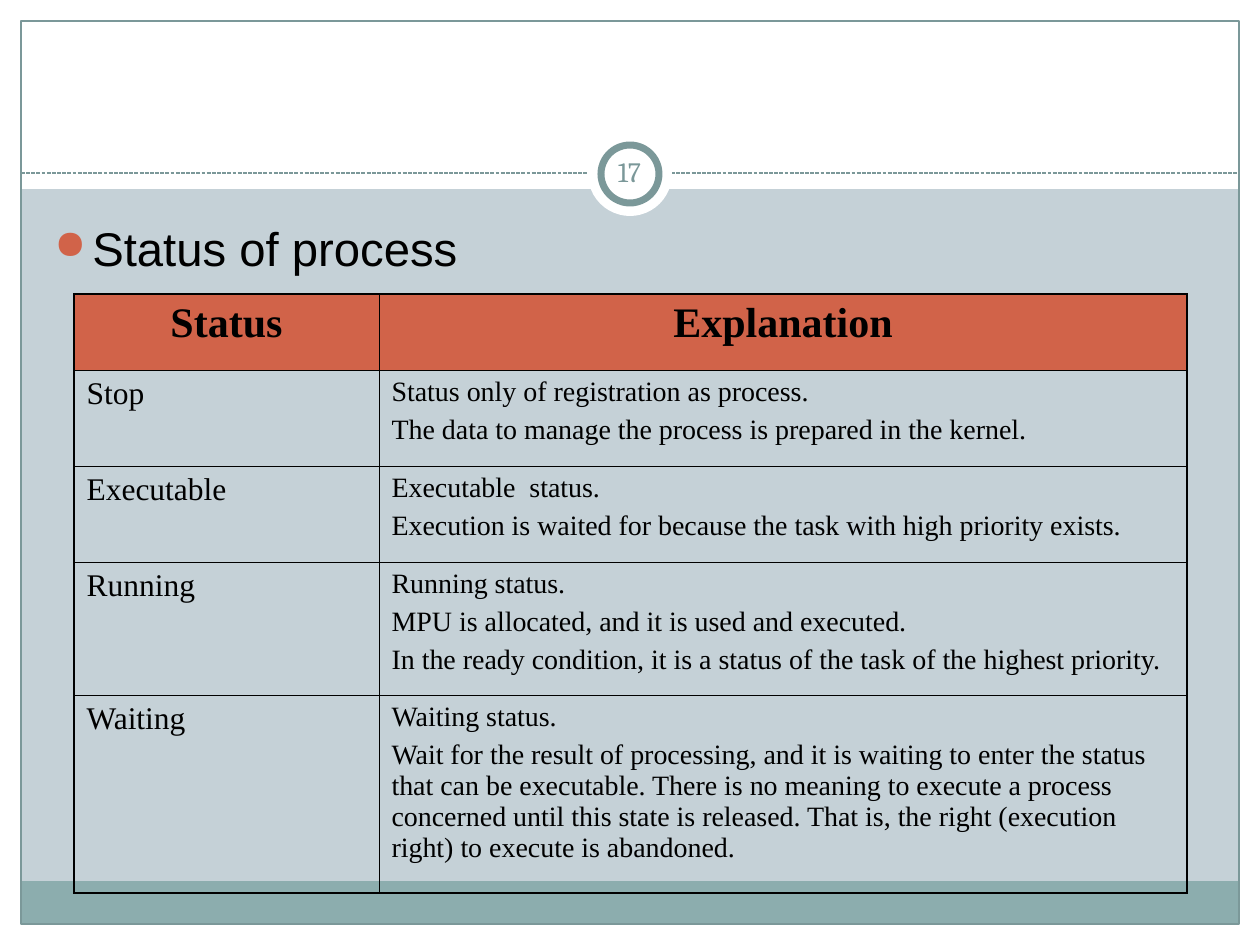
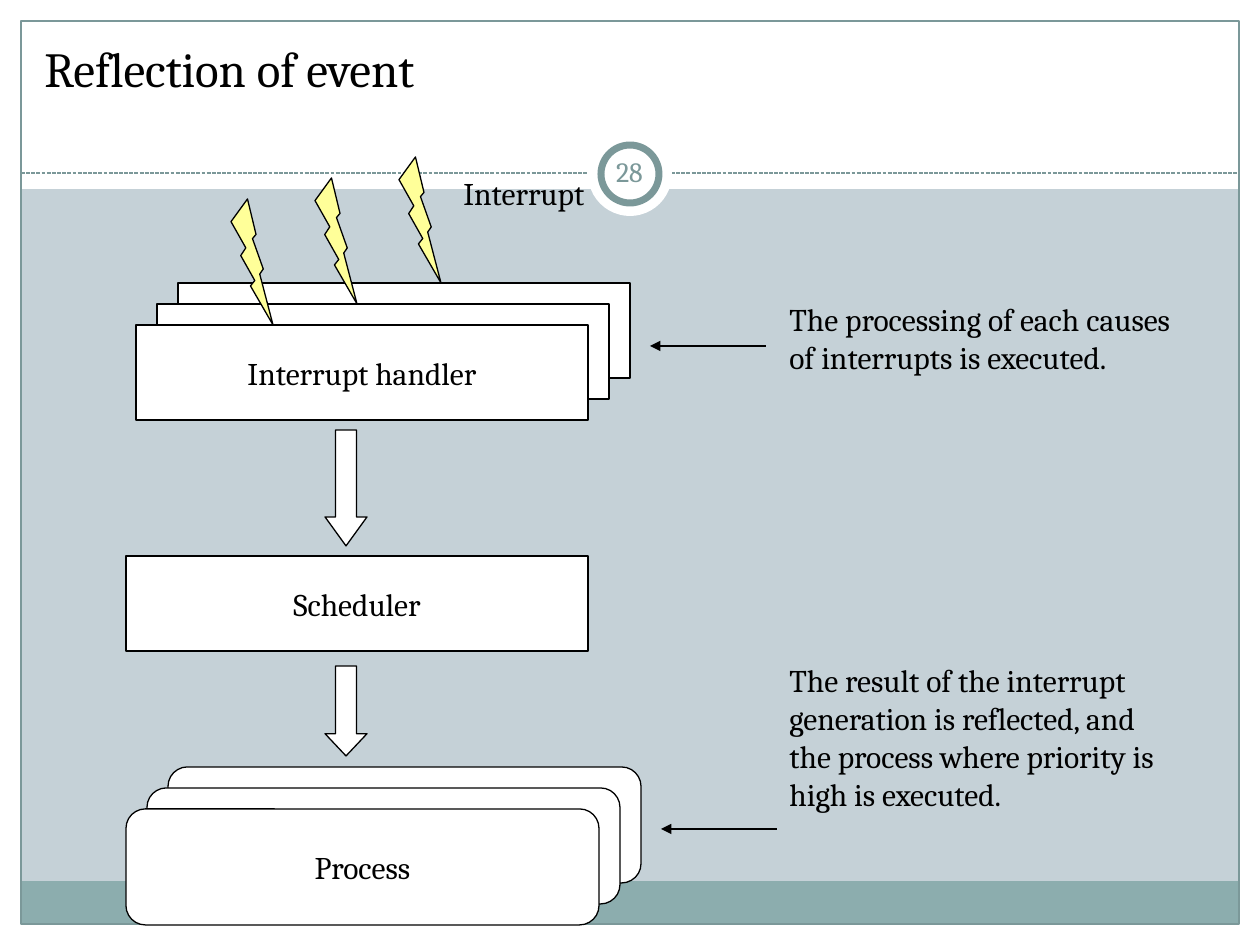
"""Build two slides on process status and event reflection."""
from dataclasses import dataclass

from lxml import etree
from pptx import Presentation
from pptx import util as u
from pptx.dml.color import RGBColor
from pptx.enum import dml, shapes, text
from pptx.oxml import ns

SCALE = 914400 / 126
KIND = shapes.MSO_SHAPE


@dataclass(frozen=True)
class Theme:
    """Colours, fonts, type sizes and line widths of the deck."""
    backdrop: str = "C5D1D7"
    white: str = "FFFFFF"
    black: str = "000000"
    band: str = "8CADAE"
    rule: str = "7B9899"
    accent: str = "D16349"
    bolt: str = "FFFF99"
    serif: str = "Cambria"
    sans: str = "Arial"
    table_font: str = "Times New Roman"
    title: int = 28
    bullet: int = 27
    header: int = 24
    body: int = 18
    small: int = 16
    line: float = 0.75
    ring: float = 4
    outer_border: float = 1.08
    inner_border: float = 0.45


@dataclass(frozen=True)
class Box:
    """A rectangle in px."""
    left: int
    top: int
    width: int
    height: int

    def inner(self, left, top, width, height):
        """Return a box placed relative to this one."""
        return Box(self.left + left, self.top + top, width, height)

    def emu(self):
        """Return the four lengths in EMU."""
        return [px(side) for side in (self.left, self.top, self.width, self.height)]


THEME = Theme()
PAGE = Box(0, 0, 1260, 945)
STATUSES = [
    ("Stop", ["Status only of registration as process.",
              "The data to manage the process is prepared in the kernel."]),
    ("Executable", ["Executable  status.",
                    "Execution is waited for because the task with high priority exists."]),
    ("Running", ["Running status.",
                 "MPU is allocated, and it is used and executed.",
                 "In the ready condition, it is a status of the task of the highest priority."]),
    ("Waiting", ["Waiting status.",
                 "Wait for the result of processing, and it is waiting to enter the status that "
                 "can be executable. There is no meaning to execute a process concerned until "
                 "this state is released. That is, the right (execution right) to execute is "
                 "abandoned."]),
]


def px(length):
    """Turn px into EMU."""
    return u.Emu(round(length * SCALE))


def color(name):
    """Turn a hex string into a colour."""
    return RGBColor.from_string(name)


def add_xml(parent, tag, **attributes):
    """Append a drawing element to a parent."""
    return etree.SubElement(parent, ns.qn(tag), attributes)


def style(para, size, font=THEME.serif, ink=THEME.black, bold=False, align=text.PP_ALIGN.LEFT):
    """Set font and alignment of a paragraph."""
    para.alignment = align
    para.font.size = u.Pt(size)
    para.font.name = font
    para.font.bold = bold
    para.font.color.rgb = color(ink)


def add_shape(page, kind, box, fill=THEME.white, line=None, width=THEME.line, label=None):
    """Add a flat preset shape with an optional centred label."""
    shape = page.shapes.add_shape(kind, *box.emu())
    shape.shadow.inherit = False
    if fill:
        shape.fill.solid()
        shape.fill.fore_color.rgb = color(fill)
    else:
        shape.fill.background()
    if line:
        shape.line.color.rgb = color(line)
        shape.line.width = u.Pt(width)
    else:
        shape.line.fill.background()
    if label:
        frame = shape.text_frame
        frame.word_wrap = False
        frame.vertical_anchor = text.MSO_ANCHOR.MIDDLE
        frame.text = label
        style(frame.paragraphs[0], THEME.body, align=text.PP_ALIGN.CENTER)
    return shape


def add_text(page, box, words, size=THEME.body, **options):
    """Add a wrapping text box and return its text frame."""
    frame = page.shapes.add_textbox(*box.emu()).text_frame
    frame.word_wrap = True
    frame.text = words
    style(frame.paragraphs[0], size, **options)
    return frame


def add_line(page, start, end, ink):
    """Add a thin straight connector without shadow."""
    points = [px(value) for value in (*start, *end)]
    line = page.shapes.add_connector(shapes.MSO_CONNECTOR.STRAIGHT, *points)
    line.line.color.rgb = color(ink)
    line.line.width = u.Pt(THEME.line)
    add_xml(line.element.spPr, "a:effectLst")
    return line


def add_badge(page, box, number):
    """Draw the ringed page number."""
    add_shape(page, KIND.OVAL, box)
    add_shape(page, KIND.OVAL, box.inner(13, 13, 58, 58), line=THEME.rule, width=THEME.ring)
    frame = add_text(page, box.inner(10, 9, 63, 60), str(number), THEME.small,
                     ink=THEME.rule, align=text.PP_ALIGN.CENTER)
    frame.vertical_anchor = text.MSO_ANCHOR.MIDDLE
    frame.margin_left = frame.margin_right = u.Inches(0.05)


def add_page(deck, number):
    """Add a blank slide with the shared frame, bands and badge."""
    page = deck.slides.add_slide(deck.slide_layouts[6])
    page.background.fill.solid()
    page.background.fill.fore_color.rgb = color(THEME.backdrop)
    edge = 21
    right, bottom = PAGE.width - edge, PAGE.height - edge
    for margin in (PAGE.inner(0, bottom, PAGE.width, edge),
                   PAGE.inner(0, 0, PAGE.width, 189),
                   PAGE.inner(0, 0, edge, PAGE.height),
                   PAGE.inner(right, 0, edge, PAGE.height)):
        add_shape(page, KIND.RECTANGLE, margin)
    add_shape(page, KIND.RECTANGLE, PAGE.inner(edge, 881, right - edge, 43), THEME.band)
    add_shape(page, KIND.RECTANGLE, PAGE.inner(edge, edge, right - edge, bottom - edge),
              None, THEME.rule)
    rule = add_line(page, (edge, 173), (right, 173), THEME.rule)
    rule.line.dash_style = dml.MSO_LINE.SQUARE_DOT
    add_badge(page, PAGE.inner(588, 132, 84, 84), number)
    return page


def add_bullet(page, box, words):
    """Add the bulleted heading."""
    frame = page.shapes.add_textbox(*box.emu()).text_frame
    frame.word_wrap = True
    para = frame.paragraphs[0]
    para.text = words
    properties = para._p.get_or_add_pPr()
    properties.set("marL", str(px(38)))
    properties.set("indent", str(px(-38)))
    add_xml(add_xml(properties, "a:buClr"), "a:srgbClr", val=THEME.accent)
    add_xml(properties, "a:buSzPct", val="85000")
    add_xml(properties, "a:buChar", char="●")
    style(para, THEME.bullet, THEME.sans)


def set_borders(cell, outer_sides):
    """Draw thick outer and thin inner borders of a cell."""
    properties = cell._tc.get_or_add_tcPr()
    for side in "LRTB":
        width = THEME.outer_border if side in outer_sides else THEME.inner_border
        line = add_xml(properties, f"a:ln{side}", w=str(u.Pt(width)))
        add_xml(add_xml(line, "a:solidFill"), "a:srgbClr", val=THEME.black)


def fill_cell(cell, lines, size, gap, **options):
    """Write the paragraphs of a cell."""
    cell.text_frame.text = "\n".join(lines)
    for index, para in enumerate(cell.text_frame.paragraphs):
        style(para, size, THEME.table_font, **options)
        if index:
            para.space_before = u.Pt(gap)


def add_status_table(page, box):
    """Add the table of statuses and explanations."""
    widths, heights = (305, box.width - 305), (76, 96, 96, 133, 198)
    table = page.shapes.add_table(len(heights), len(widths), *box.emu()).table
    table.first_row = table.horz_banding = False
    for column, width in zip(table.columns, widths):
        column.width = px(width)
    for row, height in zip(table.rows, heights):
        row.height = px(height)
    contents = [("Status", ["Explanation"]), *STATUSES]
    last = len(contents) - 1
    for index, (status, explanation) in enumerate(contents):
        vertical = {0: "T", last: "B"}.get(index, "")
        for cell, lines, side, size in zip(table.rows[index].cells, ([status], explanation),
                                           "LR", (THEME.body, THEME.small)):
            set_borders(cell, side + vertical)
            if index:
                cell.fill.background()
                fill_cell(cell, lines, size, gap=4)
            else:
                cell.fill.solid()
                cell.fill.fore_color.rgb = color(THEME.accent)
                fill_cell(cell, lines, THEME.header, gap=6, bold=True,
                          align=text.PP_ALIGN.CENTER)


def add_stack(page, kind, box, label, count=3):
    """Add overlapping cards with the label on the front one."""
    for depth in reversed(range(count)):
        card = box.inner(21 * depth, -21 * depth, box.width, box.height)
        add_shape(page, kind, card, line=THEME.black, label=None if depth else label)


def add_bolts(page, box):
    """Add three rising lightning bolts."""
    for index in range(3):
        add_shape(page, KIND.LIGHTNING_BOLT, box.inner(84 * index, 42 - 21 * index, 42, 126),
                  THEME.bolt, THEME.black)


def add_down_arrow(page, box, head):
    """Add a block arrow with the given head ratio."""
    arrow = add_shape(page, KIND.DOWN_ARROW, box, line=THEME.black)
    arrow.adjustments[0] = 0.5
    arrow.adjustments[1] = head


def add_pointer(page, right, top):
    """Add an arrow pointing left."""
    pointer = add_line(page, (right, top), (right - 116, top), THEME.black)
    add_xml(pointer.element.spPr.find(ns.qn("a:ln")), "a:tailEnd", type="triangle")


def add_event_flow(page, box):
    """Add the flow from interrupt to process with its notes."""
    add_stack(page, KIND.ROUNDED_RECTANGLE, box.inner(0, 652, 473, 116), "Process")
    add_stack(page, KIND.RECTANGLE, box.inner(10, 168, 452, 95), "Interrupt handler")
    add_stack(page, KIND.RECTANGLE, box.inner(0, 399, 462, 95), "Scheduler", count=1)
    add_bolts(page, box.inner(105, 0, 210, 168))
    add_down_arrow(page, box.inner(199, 273, 42, 116), 0.69)
    add_down_arrow(page, box.inner(199, 509, 42, 90), 0.53)
    add_pointer(page, box.left + 640, box.top + 189)
    add_pointer(page, box.left + 651, box.top + 672)
    add_text(page, box.inner(651, 137, 410, 126),
             "The processing of each causes of interrupts is executed.")
    add_text(page, box.inner(651, 498, 410, 202),
             "The result of the interrupt generation is reflected, and the process where "
             "priority is high is executed.")
    add_text(page, box.inner(325, 11, 242, 50), "Interrupt")


def build_status_slide(deck):
    """Build the slide on process status."""
    page = add_page(deck, 17)
    add_bullet(page, PAGE.inner(42, 213, 1172, 630), "Status of process")
    add_status_table(page, PAGE.inner(74, 294, 1113, 599))


def build_event_slide(deck):
    """Build the slide on event reflection."""
    page = add_page(deck, 28)
    add_text(page, PAGE.inner(32, 32, 609, 72), "Reflection of event", THEME.title)
    add_event_flow(page, PAGE.inner(126, 157, 1061, 768))


def main():
    """Build and save the deck."""
    deck = Presentation()
    deck.slide_width, deck.slide_height = px(PAGE.width), px(PAGE.height)
    build_status_slide(deck)
    build_event_slide(deck)
    deck.save("out.pptx")


if __name__ == "__main__":
    main()
